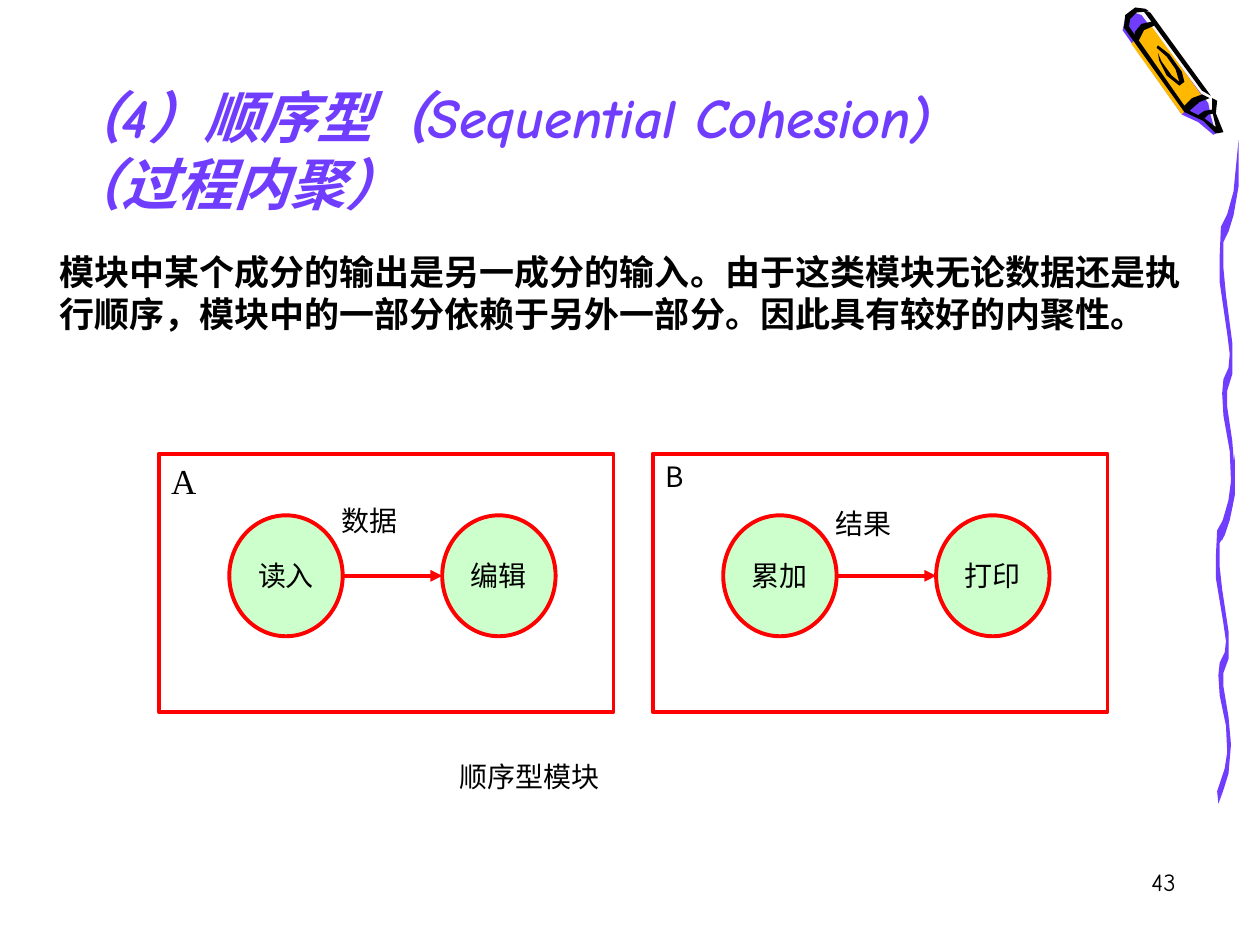
from dataclasses import dataclass

from lxml.etree import SubElement
from pptx import Presentation
from pptx.dml.color import RGBColor
from pptx.enum.shapes import MSO_CONNECTOR as Connector, MSO_SHAPE as Shape
from pptx.enum.text import MSO_ANCHOR as Anchor, MSO_AUTO_SIZE as AutoSize, PP_ALIGN as Align
from pptx.oxml.ns import qn
from pptx.util import Inches, Pt


@dataclass(frozen=True)
class Theme:
    violet: str = "703DFF"
    amber: str = "FFB800"
    highlight: str = "F8F8F8"
    ink: str = "000000"
    paper: str = "FFFFFF"
    red: str = "FF0000"
    mint: str = "CCFFCC"
    title_size: int = 32
    body_size: int = 20
    label_size: int = 16
    number_size: int = 14
    line_factor: float = 1.2
    stroke: float = 2.25
    hand: str = "Comic Neue"
    sans: str = "Noto Sans CJK SC"
    serif: str = "Times New Roman"


# Outlines in hundredths of an inch
CRAYON = [
    ("highlight", [(968, 103), (963, 88), (952, 66), (909, 9), (902, 7), (896, 12),
                   (894, 22), (941, 88), (956, 95), (966, 104)]),
    ("violet", [(906, 12), (959, 82), (961, 92), (965, 106), (963, 107), (951, 97),
                (938, 91), (891, 24), (893, 15), (900, 10)]),
    ("amber", [(898, 35), (938, 91), (946, 81), (956, 79), (914, 21), (905, 25)]),
    ("ink", [(962, 87), (956, 88), (950, 92), (956, 94), (959, 91), (964, 90)]),
    ("ink", [(909, 7), (901, 6), (893, 12), (892, 22), (940, 89), (955, 96), (965, 106),
             (971, 105), (965, 90), (966, 80), (962, 78), (962, 88), (965, 101), (956, 94),
             (944, 88), (952, 81), (960, 78), (954, 75), (946, 78), (940, 84), (896, 21),
             (897, 15), (902, 10), (912, 9)]),
    ("ink", [(913, 10), (961, 76), (954, 72), (907, 8)]),
    ("ink", [(915, 17), (906, 19), (901, 25), (900, 30), (903, 34), (908, 24), (917, 20)]),
    ("ink", [(918, 38), (926, 45), (933, 55), (936, 65), (930, 60), (922, 49), (919, 42),
             (920, 48), (926, 60), (936, 68), (940, 65), (938, 57), (928, 43), (919, 36)]),
]
# Wavy stroke, measured from its top left corner
WAVE = [(1, 307), (7, 286), (9, 271), (8, 247), (3, 219), (2, 201), (3, 190), (7, 181),
        (8, 170), (6, 154), (0, 113), (0, 92), (1, 69), (6, 59), (11, 41), (15, 0),
        (15, 37), (11, 60), (7, 73), (3, 81), (3, 102), (5, 123), (10, 161), (10, 186),
        (6, 199), (6, 212), (10, 239), (12, 264), (10, 291), (6, 306), (2, 318)]


class SlideBuilder:
    """Draws on one slide, with lengths in cells of a 100 by 75 grid."""

    def __init__(self, deck, theme):
        self.theme = theme
        self.cell = deck.slide_width // 100
        self.slide = deck.slides.add_slide(deck.slide_layouts[5])

    def cells(self, *lengths):
        return [round(length * self.cell) for length in lengths]

    def fill_text(self, shape, lines, size, font=None, color=None, align=Align.LEFT,
                  anchor=Anchor.TOP, wrap=True, bold=False, italic=False):
        frame = shape.text_frame
        frame.word_wrap = wrap
        frame.auto_size = AutoSize.NONE
        frame.vertical_anchor = anchor
        frame.margin_left = frame.margin_right = Inches(0.1)
        frame.margin_top = frame.margin_bottom = Inches(0.05)
        for index, line in enumerate(lines):
            paragraph = frame.add_paragraph() if index else frame.paragraphs[0]
            paragraph.alignment = align
            paragraph.space_before = Pt(0)
            paragraph.line_spacing = Pt(size * self.theme.line_factor)
            run = paragraph.add_run()
            run.text = line
            run.font.size = Pt(size)
            run.font.bold, run.font.italic = bold, italic
            run.font.name = font or self.theme.sans
            run.font.color.rgb = RGBColor.from_string(color or self.theme.ink)
            east_asian = SubElement(run._r.get_or_add_rPr(), qn("a:ea"))
            east_asian.set("typeface", self.theme.sans)

    def title(self, box, lines):
        heading = self.slide.shapes.title
        heading.left, heading.top, heading.width, heading.height = self.cells(*box)
        self.fill_text(heading, lines, self.theme.title_size, self.theme.hand,
                       self.theme.violet, Align.JUSTIFY, Anchor.MIDDLE, bold=True, italic=True)

    def text(self, box, content, size, **style):
        text_box = self.slide.shapes.add_textbox(*self.cells(*box))
        self.fill_text(text_box, [content], size, **style)

    def paint(self, shape, fill, line=None):
        shape.shadow.inherit = False
        shape.fill.solid()
        shape.fill.fore_color.rgb = RGBColor.from_string(fill)
        if line:
            shape.line.color.rgb = RGBColor.from_string(line)
            shape.line.width = Pt(self.theme.stroke)
        else:
            shape.line.fill.background()

    def outlined(self, preset, box, fill):
        shape = self.slide.shapes.add_shape(preset, *self.cells(*box))
        self.paint(shape, fill, self.theme.red)
        return shape

    def outline(self, points, fill):
        builder = self.slide.shapes.build_freeform(*points[0], scale=self.cell / 10)
        builder.add_line_segments(points[1:], close=True)
        self.paint(builder.convert_to_shape(), fill)

    def arrow(self, left, right, row):
        arrow = self.slide.shapes.add_connector(
            Connector.STRAIGHT, *self.cells(left, row, right, row))
        arrow.line.color.rgb = RGBColor.from_string(self.theme.red)
        arrow.line.width = Pt(self.theme.stroke)
        properties = arrow._element.spPr
        SubElement(properties.find(qn("a:ln")), qn("a:tailEnd")).set("type", "triangle")
        SubElement(properties, qn("a:effectLst"))

    def step(self, left, top, name):
        circle = self.outlined(Shape.OVAL, (left, top, 9, 9.6), self.theme.mint)
        self.fill_text(circle, [name], self.theme.label_size, align=Align.CENTER,
                       anchor=Anchor.MIDDLE, wrap=False)

    def module(self, left, top, steps, flow, flow_drop):
        """A framed module: two steps and the named flow between them."""
        self.outlined(Shape.RECTANGLE, (left, top, 36.1, 20.5), self.theme.paper)
        first, second = left + 5.6, left + 22.5
        for column, name in zip((first, second), steps):
            self.step(column, top + 4.9, name)
        self.arrow(first + 9, second, top + 9.7)
        self.text((left + 13.5, top + flow_drop, 13, 3.7), flow, self.theme.label_size)


def main():
    deck = Presentation()
    deck.slide_width, deck.slide_height = Inches(10), Inches(7.5)
    theme = Theme()
    page = SlideBuilder(deck, theme)

    for left, top, stretch in ((965, 361, 0.87), (968, 111, 1)):
        page.outline([(left + x, round(top + y * stretch)) for x, y in WAVE], theme.violet)
    for color, points in CRAYON:
        page.outline(points, getattr(theme, color))

    page.title((4.2, 5, 89.1, 13.8), ["（4）顺序型（Sequential Cohesion)", "（过程内聚）"])
    page.text((3.7, 19.4, 92.5, 7.7),
              "模块中某个成分的输出是另一成分的输入。由于这类模块无论数据还是执行顺序，"
              "模块中的一部分依赖于另外一部分。因此具有较好的内聚性。",
              theme.body_size, bold=True)

    page.module(12.6, 36, ("读入", "编辑"), "数据", 3.5)
    page.module(51.8, 36, ("累加", "打印"), "结果", 3.7)
    page.text((12.6, 36, 6.8, 4.4), "A", theme.body_size, font=theme.serif)
    page.text((51.8, 36, 6.8, 3.7), "B", theme.label_size)
    page.text((35.5, 59.8, 44.3, 3.7), "顺序型模块", theme.label_size)
    page.text((73.5, 68.3, 20.8, 5), "43", theme.number_size, font=theme.hand, align=Align.RIGHT)

    deck.save("out.pptx")


if __name__ == "__main__":
    main()
